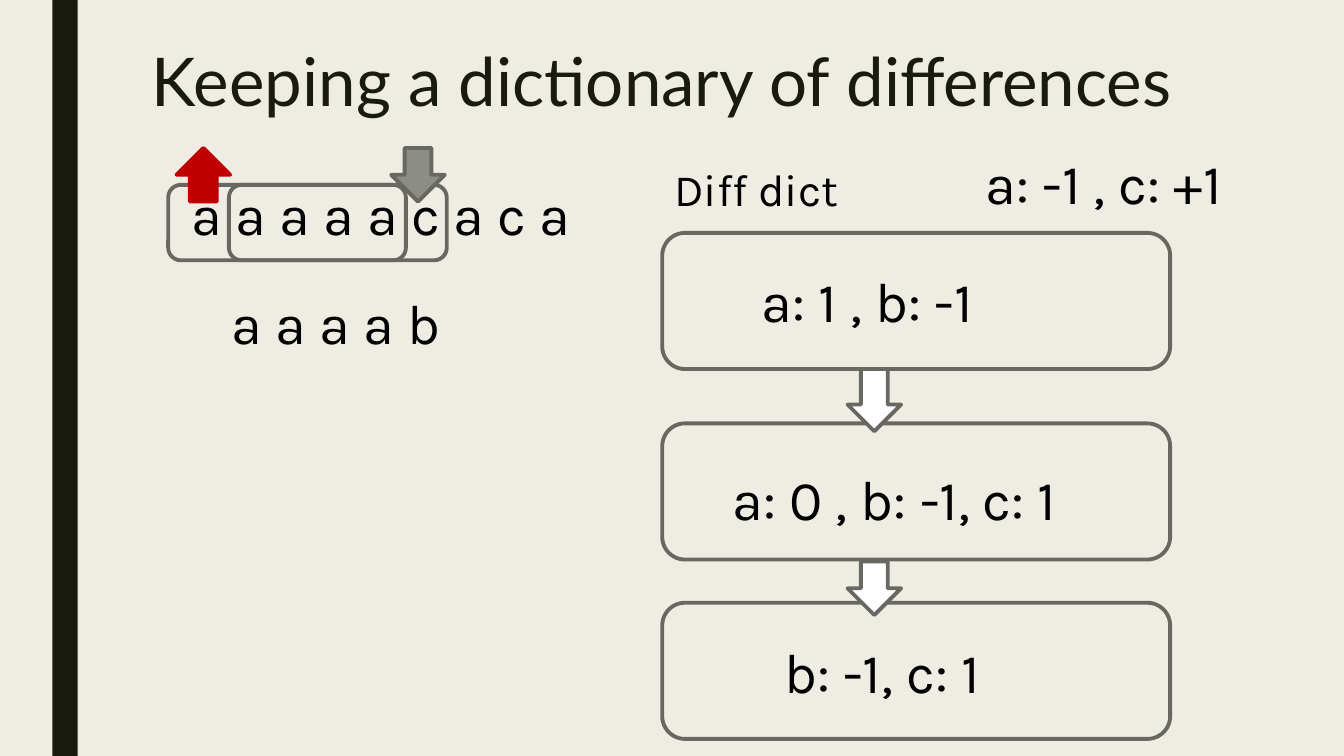
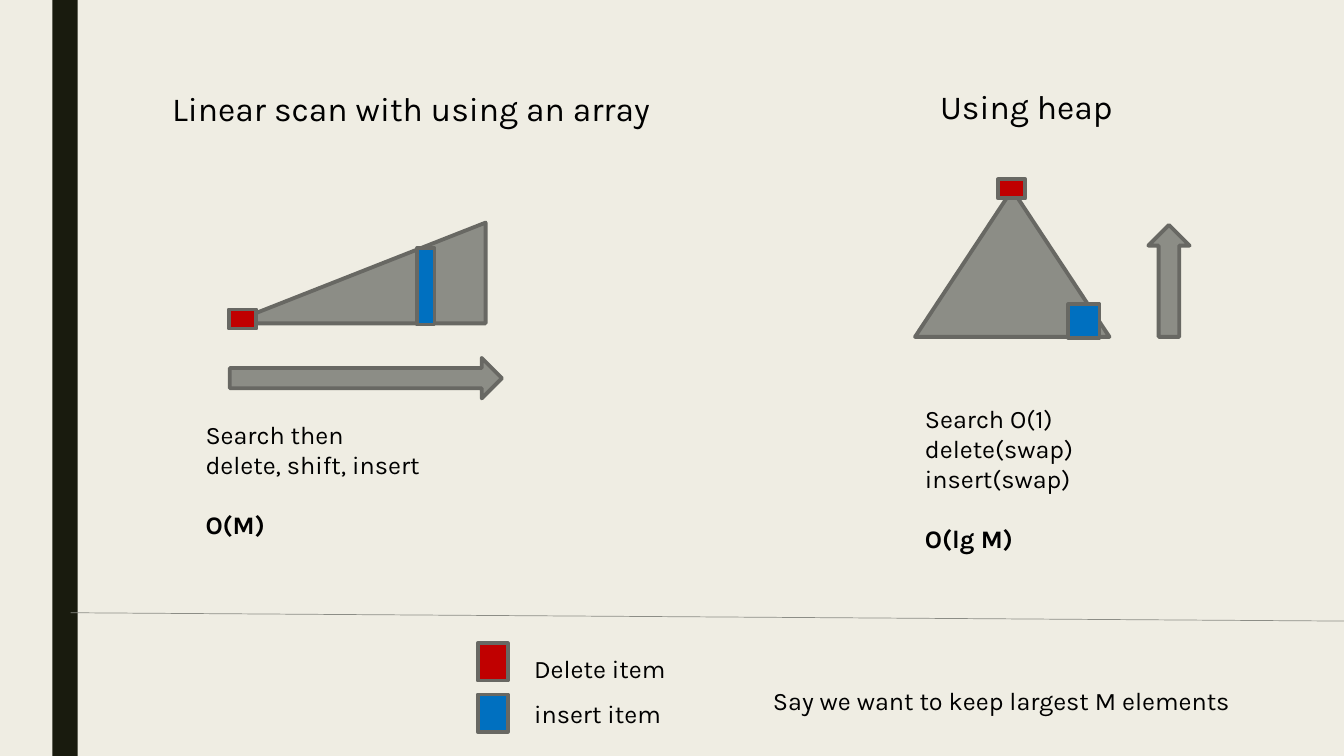
from dataclasses import dataclass

from lxml import etree
from pptx import Presentation
from pptx.dml.color import RGBColor
from pptx.enum.shapes import MSO_CONNECTOR, MSO_SHAPE
from pptx.oxml.ns import qn
from pptx.util import Cm, Pt

RECTANGLE = MSO_SHAPE.RECTANGLE
ROUNDED = MSO_SHAPE.ROUNDED_RECTANGLE
RIGHT_TRIANGLE = MSO_SHAPE.RIGHT_TRIANGLE
TRIANGLE = MSO_SHAPE.ISOSCELES_TRIANGLE
DOWN_ARROW = MSO_SHAPE.DOWN_ARROW
UP_ARROW = MSO_SHAPE.UP_ARROW
RIGHT_ARROW = MSO_SHAPE.RIGHT_ARROW
STRAIGHT = MSO_CONNECTOR.STRAIGHT


@dataclass(frozen=True)
class Theme:
    """Hold the colours, fonts and sizes of the deck."""

    paper: str = "EFEDE3"
    dark: str = "191B0E"
    black: str = "000000"
    white: str = "FFFFFF"
    grey: str = "8C8D86"
    outline: str = "686863"
    red: str = "C00000"
    blue: str = "0070C0"
    title_font: str = "Lato"
    body_font: str = "Karla"
    title_size: int = 48
    sequence_size: int = 40
    label_size: int = 32
    heading_size: int = 24
    body_size: int = 18
    outline_width: float = 2.75
    rule_width: float = 0.5


class Deck:
    """Build slides in one style; every length is in centimetres."""

    def __init__(self, theme):
        """Start an empty wide presentation."""
        self.theme = theme
        self.slide = None
        self.presentation = Presentation()
        self.presentation.slide_width = Cm(33.87)
        self.presentation.slide_height = Cm(19.05)

    def new_slide(self):
        """Add a slide with the paper background and the dark band."""
        layout = self.presentation.slide_layouts[6]
        self.slide = self.presentation.slides.add_slide(layout)
        background = self.slide.background.fill
        background.solid()
        background.fore_color.rgb = RGBColor.from_string(self.theme.paper)
        self.shape(RECTANGLE, (1.32, 0, 0.64, 19.05), self.theme.dark, None)

    def shape(self, kind, box, fill=None, line=Theme.outline):
        """Add a preset shape, unfilled or unlined when a colour is None."""
        shape = self.slide.shapes.add_shape(kind, *map(Cm, box))
        shape.shadow.inherit = False
        if fill:
            shape.fill.solid()
            shape.fill.fore_color.rgb = RGBColor.from_string(fill)
        else:
            shape.fill.background()
        if line:
            shape.line.color.rgb = RGBColor.from_string(line)
            shape.line.width = Pt(self.theme.outline_width)
        else:
            shape.line.fill.background()
        return shape

    def text(self, box, lines, size, conclusion=None, font=Theme.body_font,
             color=Theme.black, spacing=1.0):
        """Add a text box with an optional bold conclusion set apart below."""
        frame = self.slide.shapes.add_textbox(*map(Cm, box)).text_frame
        frame.word_wrap = True
        entries = [(line, False) for line in lines]
        if conclusion:
            entries.append((conclusion, True))
        for index, (content, bold) in enumerate(entries):
            paragraph = frame.add_paragraph() if index else frame.paragraphs[0]
            paragraph.line_spacing = spacing
            if bold:
                paragraph.space_before = Pt(size * 1.19)
            run = paragraph.add_run()
            run.text = content
            formats = {"name": font, "size": Pt(size), "bold": bold}
            for attribute, value in formats.items():
                setattr(run.font, attribute, value)
            run.font.color.rgb = RGBColor.from_string(color)

    def title(self, content):
        """Add the slide title."""
        theme = self.theme
        self.text((3.58, 1.12, 29.85, 4.11), [content], theme.title_size,
                  font=theme.title_font, color=theme.dark, spacing=0.89)

    def rule(self, start, end):
        """Add a thin dividing line."""
        connector = self.slide.shapes.add_connector(
            STRAIGHT, *map(Cm, (*start, *end)))
        connector.line.color.rgb = RGBColor.from_string(self.theme.grey)
        connector.line.width = Pt(self.theme.rule_width)
        etree.SubElement(connector.element.spPr, qn("a:effectLst"))


def build_differences(deck):
    """Show a sliding window and its dictionary of differences."""
    theme = deck.theme
    deck.new_slide()
    deck.title("Keeping a dictionary of differences")

    for left, top, width, content in (
        (4.57, 4.39, 11.15, "a a a a a c a c a"),
        (5.59, 7.14, 9.25, "a a a a b"),
        (24.59, 3.61, 9.2, "a: -1 , c: +1"),
    ):
        deck.text((left, top, width, 1.96), [content], theme.sequence_size)
    deck.text((16.74, 3.94, 9.25, 1.63), ["Diff dict"], theme.label_size)

    for left, width in ((4.24, 5.99), (5.77, 5.49)):
        deck.shape(ROUNDED, (left, 4.66, width, 1.9))
    deck.shape(DOWN_ARROW, (9.86, 3.73, 1.35, 1.35), theme.grey)
    deck.shape(UP_ARROW, (4.45, 3.73, 1.35, 1.35), theme.red, theme.red)

    for top, left, text_top, content in (
        (5.87, 18.95, 6.6, "a: 1 , b: -1"),
        (10.67, 18.21, 11.58, "a: 0 , b: -1, c: 1"),
        (15.19, 19.51, 15.93, "b: -1, c: 1"),
    ):
        deck.shape(ROUNDED, (16.69, top, 12.8, 3.43))
        deck.text((left, text_top, 12, 1.96), [content], theme.sequence_size)
    for top, height in ((9.3, 1.57), (14.15, 1.35)):
        deck.shape(DOWN_ARROW, (21.36, top, 1.35, height), theme.white)


def build_comparison(deck):
    """Compare a linear scan with a heap."""
    theme = deck.theme
    deck.new_slide()

    deck.text((4.09, 2.08, 12.83, 1.27), ["Linear scan with using an array"],
              theme.heading_size)
    array = deck.shape(RIGHT_TRIANGLE, (5.79, 5.61, 6.45, 2.54), theme.grey)
    array.element.spPr.xfrm.set("flipH", "1")
    deck.shape(RECTANGLE, (5.77, 7.8, 0.69, 0.48), theme.red)
    deck.shape(RECTANGLE, (10.52, 6.25, 0.43, 1.93), theme.blue)
    deck.shape(RIGHT_ARROW, (5.79, 9.02, 6.86, 1.02), theme.grey)
    deck.text((4.93, 10.44, 8.97, 3.33),
              ["Search then", "delete, shift, insert"],
              theme.body_size, "O(M)")

    deck.text((23.44, 2.03, 6.6, 1.27), ["Using heap"], theme.heading_size)
    deck.shape(TRIANGLE, (23.06, 4.78, 4.9, 3.71), theme.grey)
    deck.shape(RECTANGLE, (25.15, 4.52, 0.69, 0.48), theme.red)
    deck.shape(RECTANGLE, (26.92, 7.67, 0.79, 0.84), theme.blue)
    deck.shape(UP_ARROW, (28.94, 5.67, 1.04, 2.82), theme.grey)
    deck.text((23.06, 10.03, 6.96, 4.11),
              ["Search O(1)", "delete(swap)", "insert(swap)"],
              theme.body_size, "O(lg M)")

    deck.rule((1.78, 15.44), (33.87, 15.65))
    for top, text_top, color, label in (
        (16.21, 16.33, theme.red, "Delete item"),
        (17.5, 17.48, theme.blue, "insert item"),
    ):
        deck.shape(RECTANGLE, (12.04, top, 0.76, 0.94), color)
        deck.text((13.21, text_top, 5.5, 1.02), [label], theme.body_size)
    deck.text((19.23, 17.15, 12.6, 1.02),
              ["Say we want to keep largest M elements"], theme.body_size)


def main():
    """Build and save the presentation."""
    deck = Deck(Theme())
    build_differences(deck)
    build_comparison(deck)
    deck.presentation.save("out.pptx")


if __name__ == "__main__":
    main()
